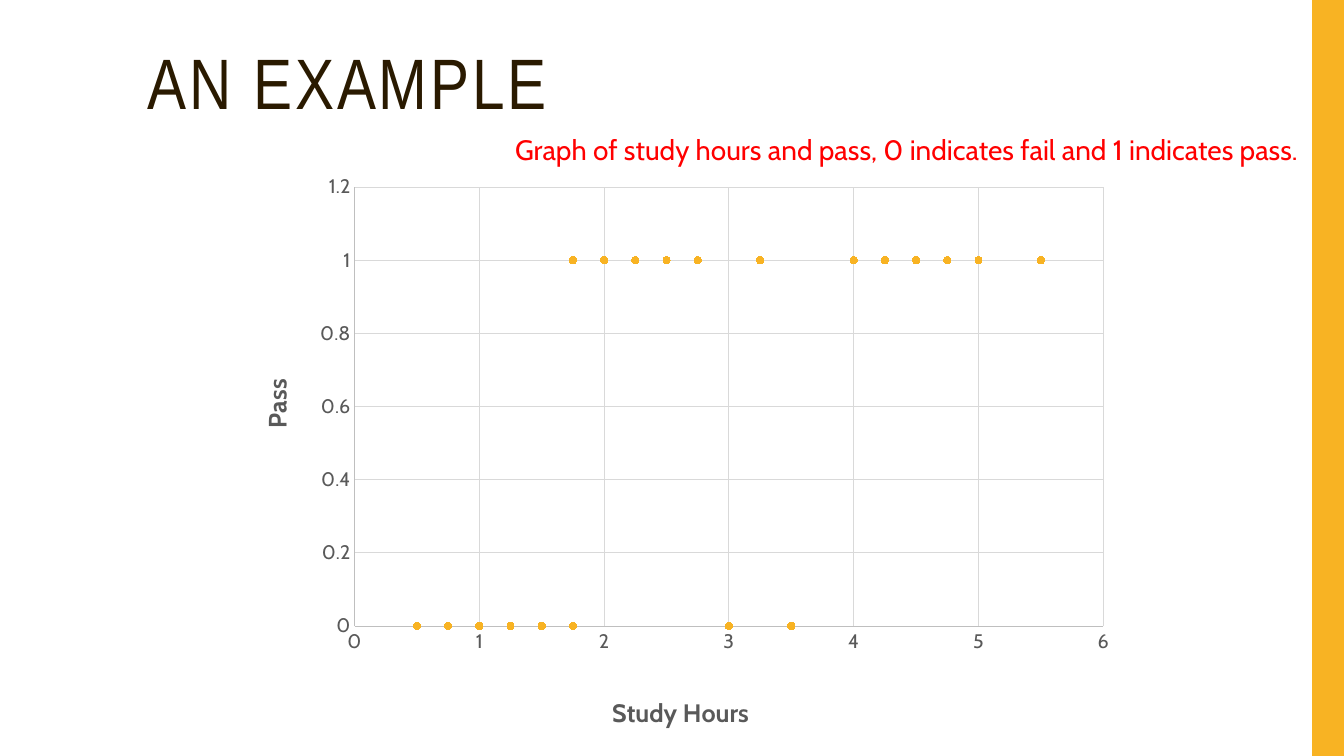
"""Build a slide with a scatter chart of study hours against passing."""
from dataclasses import dataclass

from lxml.etree import SubElement
from pptx import Presentation
from pptx.chart.data import XyChartData
from pptx.dml.color import RGBColor as Rgb
from pptx.enum.chart import XL_CHART_TYPE as ChartType
from pptx.enum.chart import XL_MARKER_STYLE as Marker
from pptx.enum.chart import XL_TICK_MARK as Tick
from pptx.enum.shapes import MSO_SHAPE as Shape
from pptx.oxml.ns import qn
from pptx.util import Cm, Pt


@dataclass(frozen=True)
class Theme:
    accent: Rgb = Rgb.from_string("F8B323")
    heading: Rgb = Rgb.from_string("2A1A00")
    caption: Rgb = Rgb.from_string("FF0000")
    label: Rgb = Rgb.from_string("595959")
    axis: Rgb = Rgb.from_string("BFBFBF")
    grid: Rgb = Rgb.from_string("D9D9D9")
    heading_font: str = "Arial Narrow"
    body_font: str = "Cabin"
    heading_size: Pt = Pt(51)
    caption_size: Pt = Pt(20)
    axis_title_size: Pt = Pt(18)
    tick_size: Pt = Pt(14)
    hairline: Pt = Pt(0.75)


theme = Theme()


def style_font(font, name, size, color, bold=False):
    font.name, font.size, font.bold = name, size, bold
    font.color.rgb = color


def set_layout(parent, index, **settings):
    for old in parent.xpath("c:layout"):
        parent.remove(old)
    layout = parent.makeelement(qn("c:layout"))
    parent.insert(index, layout)
    manual = SubElement(layout, qn("c:manualLayout"))
    for name, value in settings.items():
        SubElement(manual, qn(f"c:{name}")).set("val", str(value))


deck = Presentation()
deck.slide_width, deck.slide_height = Cm(33.87), Cm(19.05)
page = deck.slides.add_slide(deck.slide_layouts[6])

side_bar = page.shapes.add_shape(Shape.RECTANGLE, Cm(33.07), 0, Cm(0.8), deck.slide_height)
side_bar.shadow.inherit = False
side_bar.fill.solid()
side_bar.fill.fore_color.rgb = theme.accent
side_bar.line.fill.background()

texts = [
    ("AN EXAMPLE", (3.48, 1.07, 28.27, 4.14), 0.9, 0, 200,
     (theme.heading_font, theme.heading_size, theme.heading)),
    ("Graph of study hours and pass, 0 indicates fail and 1 indicates pass.",
     (12.73, 3.12, 21.14, 1.83), 1.1, 7, 0,
     (theme.body_font, theme.caption_size, theme.caption)),
]
for words, place, line_spacing, space_before, tracking, look in texts:
    box = page.shapes.add_textbox(*map(Cm, place))
    box.text_frame.word_wrap = True
    para = box.text_frame.paragraphs[0]
    para.line_spacing, para.space_before = line_spacing, Pt(space_before)
    span = para.add_run()
    span.text = words
    style_font(span.font, *look)
    box.element.xpath(".//a:rPr")[0].set("spc", str(tracking))

failed_hours = [0.5, 0.75, 1, 1.25, 1.5, 1.75, 3, 3.5]
passed_hours = [1.75, 2, 2.25, 2.5, 2.75, 3.25, 4, 4.25, 4.5, 4.75, 5, 5.5]
results = [(hours, 0) for hours in failed_hours] + [(hours, 1) for hours in passed_hours]
data = XyChartData()
points = data.add_series("Series 1")
for hours, outcome in sorted(results):
    points.add_data_point(hours, outcome)

chart = page.shapes.add_chart(
    ChartType.XY_SCATTER, Cm(6.2), Cm(4.04), Cm(22.23), Cm(15.01), data).chart
chart.has_title = False
chart.has_legend = False
chart.plots[0].vary_by_categories = False
style_font(chart.font, theme.body_font, theme.tick_size, theme.label)
set_layout(chart.element.xpath(".//c:plotArea")[0], 0, layoutTarget="inner",
           xMode="edge", yMode="edge", x=0.123, y=0.045, w=0.849, h=0.737)

series = chart.plots[0].series[0]
series.smooth = False
series.format.line.fill.background()
series.marker.style, series.marker.size = Marker.CIRCLE, 5
series.marker.format.fill.solid()
series.marker.format.fill.fore_color.rgb = theme.accent
series.marker.format.line.color.rgb = theme.accent

axes = [
    (chart.category_axis, "Study Hours", 6, 1, 0, 0.41, 0.89),
    (chart.value_axis, "Pass", 1.2, 0.2, -90, 0.01, 0.36),
]
for axis, words, maximum, step, angle, left, top in axes:
    axis.minimum_scale, axis.maximum_scale, axis.major_unit = 0, maximum, step
    axis.major_tick_mark = axis.minor_tick_mark = Tick.NONE
    axis.has_major_gridlines = True
    for line, color in ((axis.format.line, theme.axis),
                        (axis.major_gridlines.format.line, theme.grid)):
        line.color.rgb, line.width = color, theme.hairline
    style_font(axis.tick_labels.font, theme.body_font, theme.tick_size, theme.label)
    axis.tick_labels.number_format = "General"
    axis.tick_labels.number_format_is_linked = False
    span = axis.axis_title.text_frame.paragraphs[0].add_run()
    span.text = words
    style_font(span.font, theme.body_font, theme.axis_title_size, theme.label, bold=True)
    title = axis.axis_title.element
    title.xpath(".//a:bodyPr")[0].set("rot", str(angle * 60000))
    set_layout(title, 1, xMode="edge", yMode="edge", x=left, y=top)

deck.save("out.pptx")
